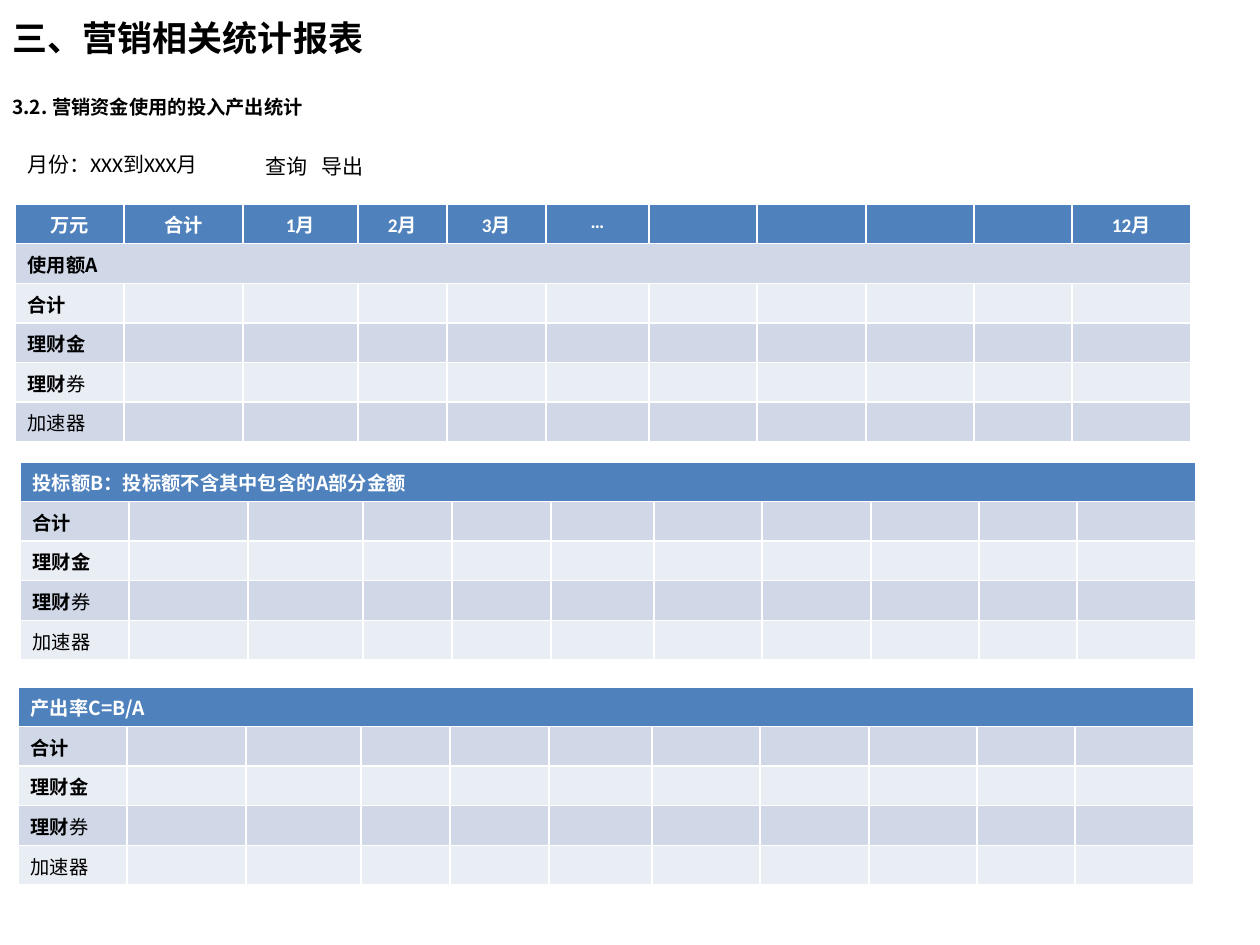
import pptx
import pptx.util
import pptx.dml.color
import pptx.enum.text
import lxml.etree
from dataclasses import dataclass


@dataclass(frozen=True)
class Theme:
    head: str = "4F81BD"
    dark: str = "D0D8E8"
    light: str = "E9EDF4"
    ink: str = "000000"
    white: str = "FFFFFF"
    cjk: str = "Noto Sans CJK SC"
    latin: str = "Calibri"
    title: int = 20
    body: int = 12
    small: int = 11


theme = Theme()
rgb = pptx.dml.color.RGBColor.from_string
align = pptx.enum.text.PP_ALIGN


def px(num):
    return round(num * 914400 / 126)


def style(para, size, color=theme.ink, bold=False, name=theme.cjk):
    font = para.font
    font.size = pptx.util.Pt(size)
    font.color.rgb = rgb(color)
    font.bold = bold
    font.name = name


deck = pptx.Presentation()
deck.slide_width, deck.slide_height = px(1260), px(945)
slide = deck.slides.add_slide(deck.slide_layouts[5])

# Title
title = slide.shapes.title
title.left, title.top, title.width, title.height = px(0), px(-1), px(927), px(77)
title.text_frame.text = "三、营销相关统计报表"
para = title.text_frame.paragraphs[0]
para.alignment = align.LEFT
style(para, theme.title, bold=True)

# Section heading and filter line
lines = [
    ("3.2. 营销资金使用的投入产出统计", 0, 89, 1086, 37, theme.small, True, theme.cjk),
    ("月份：XXX到XXX月", 15, 145, 338, 38, theme.body, False, theme.latin),
    ("查询\t导出", 253, 147, 932, 38, theme.body, False, theme.cjk),
]
for text, left, top, width, height, size, bold, name in lines:
    box = slide.shapes.add_textbox(px(left), px(top), px(width), px(height))
    box.text_frame.word_wrap = True
    para = box.text_frame.paragraphs[0]
    para.text = text
    if "\t" in text:
        # A tab stop sets the gap between the two actions
        ns = "{http://schemas.openxmlformats.org/drawingml/2006/main}"
        props = para._p.get_or_add_pPr()
        tabs = lxml.etree.SubElement(props, ns + "tabLst")
        lxml.etree.SubElement(tabs, ns + "tab", pos=str(px(56)), algn="l")
    style(para, size, bold=bold, name=name)

# Tables: each row holds its cells, each cell a bold and a plain part
cols = [109, 119, 115, 89, 99, 103, 108, 109, 108, 98, 119]
months = ["万元", "合计", "1月", "2月", "3月", "…", "", "", "", "", "12月"]
items = [[("合计", "")], [("理财金", "")], [("理财", "券")], [("", "加速器")]]
tables = [
    (15, 204, 238, [[(name, "") for name in months], [("使用额A", "")]] + items),
    (20, 462, 198, [[("投标额B：投标额不含其中包含的A部分金额", "")]] + items),
    (18, 687, 198, [[("产出率C=B/A", "")]] + items),
]
spans = ("使用额A", "投标额B", "产出率C")

for left, top, height, rows in tables:
    frame = slide.shapes.add_table(
        len(rows), len(cols), px(left), px(top), px(sum(cols)), px(height))
    grid = frame.table
    for col, width in zip(grid.columns, cols):
        col.width = px(width)
    for r, row in enumerate(rows):
        fill = theme.head if r == 0 else theme.dark if r % 2 else theme.light
        color = theme.white if r == 0 else theme.ink
        for c in range(len(cols)):
            cell = grid.cell(r, c)
            cell.fill.solid()
            cell.fill.fore_color.rgb = rgb(fill)
            strong, plain = row[c] if c < len(row) else ("", "")
            para = cell.text_frame.paragraphs[0]
            for text, bold in ((strong, True), (plain, False)):
                if text:
                    run = para.add_run()
                    run.text = text
                    run.font.bold = bold
            if len(row) > 1:
                para.alignment = align.CENTER
            name = theme.latin if len(row) > 1 and c else theme.cjk
            style(para, theme.small, color, bool(strong), name)
        if row[0][0].startswith(spans):
            grid.cell(r, 0).merge(grid.cell(r, len(cols) - 1))

deck.save("out.pptx")
